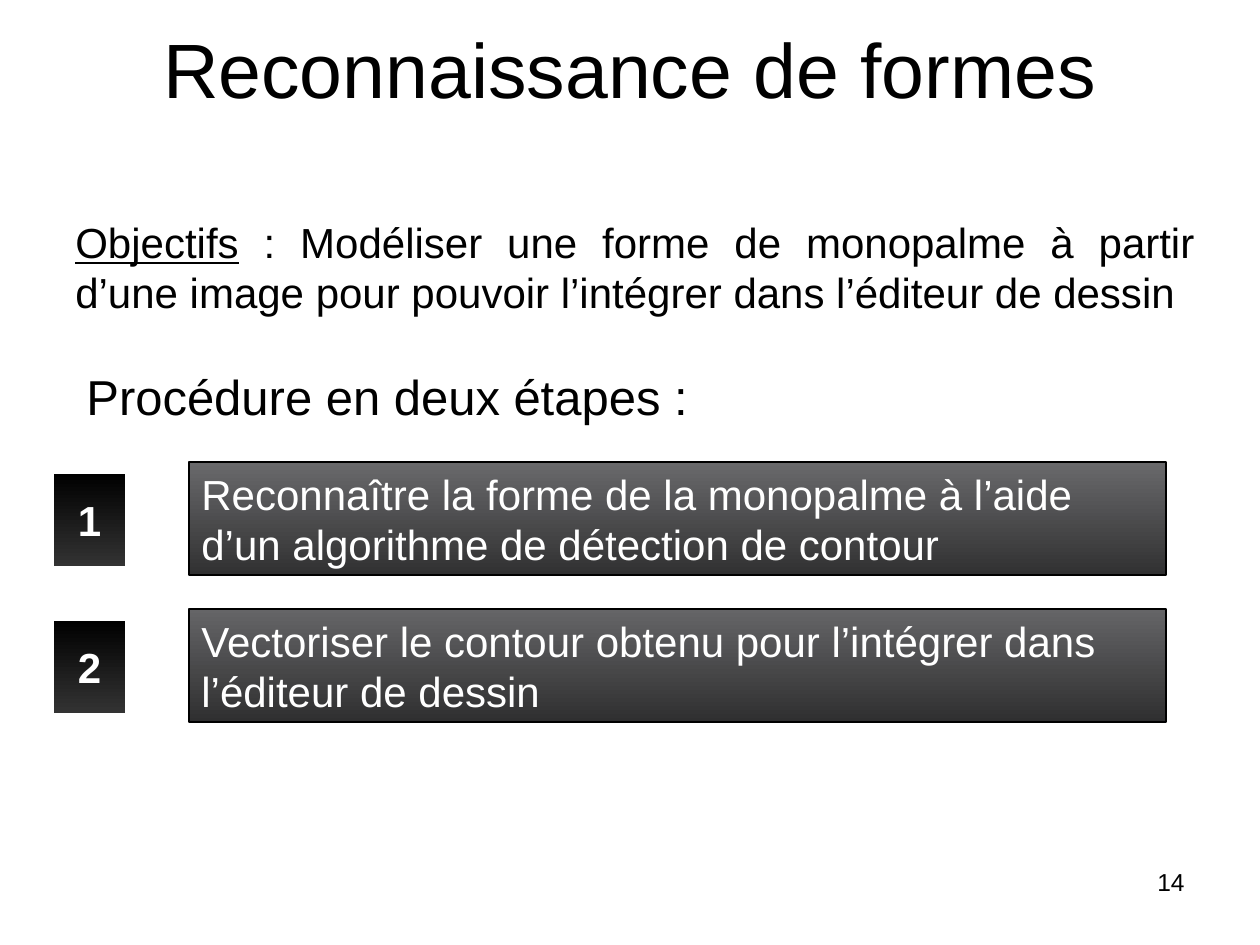
from dataclasses import dataclass

from pptx import Presentation
from pptx.dml.color import RGBColor
from pptx.enum.shapes import MSO_SHAPE
from pptx.enum.text import MSO_ANCHOR, PP_ALIGN
from pptx.util import Emu, Pt


@dataclass(frozen=True)
class Theme:
    font: str = "Arial"
    black: str = "000000"
    white: str = "FFFFFF"
    badge: tuple = ("000000", "333333")
    title: int = 44
    heading: int = 28
    body: int = 24
    number: int = 14


T = Theme()
PX = 914400 / 126


def box(pos, parts, size, color=T.black, align=PP_ALIGN.LEFT,
        anchor=MSO_ANCHOR.TOP, wrap=True, bold=False, grad=None, line=None):
    """Add a text box, or a gradient rectangle when grad is given."""
    x, y, w, h = (Emu(round(v * PX)) for v in pos)
    if grad:
        sp = s.shapes.add_shape(MSO_SHAPE.RECTANGLE, x, y, w, h)
        sp.shadow.inherit = False
        sp.fill.gradient()
        sp.fill.gradient_angle = 270  # top to bottom
        for stop, c in zip(sp.fill.gradient_stops, grad):
            stop.color.rgb = RGBColor.from_string(c)
        sp.line.color.rgb = RGBColor.from_string(line)
        sp.line.width = Pt(0.75)
    else:
        sp = s.shapes.add_textbox(x, y, w, h)
    tf = sp.text_frame
    tf.word_wrap = wrap
    tf.vertical_anchor = anchor
    p = tf.paragraphs[0]
    p.alignment = align
    p.font.name = T.font
    p.font.size = Pt(size)
    p.font.bold = bold
    p.font.color.rgb = RGBColor.from_string(color)
    for text in parts:
        p.add_run().text = text
    return p


prs = Presentation()
prs.slide_width = Emu(round(1260 * PX))
prs.slide_height = Emu(round(945 * PX))
s = prs.slides.add_slide(prs.slide_layouts[6])

# Title
box((63, 0, 1134, 136), ["Reconnaissance de formes"], T.title,
    align=PP_ALIGN.CENTER, anchor=MSO_ANCHOR.MIDDLE)

# Objective
p = box((63, 210, 1144, 113),
        ["Objectifs", " : Modéliser une forme de monopalme à partir d’une image "
         "pour pouvoir l’intégrer dans l’éditeur de dessin"],
        T.body, align=PP_ALIGN.JUSTIFY)
p.runs[0].font.underline = True

# Procedure heading
box((74, 360, 626, 72), ["Procédure en deux étapes :"], T.heading, wrap=False)

# Numbered steps
steps = [
    ("Reconnaître la forme de la monopalme à l’aide d’un algorithme "
     "de détection de contour", ("69696B", "313132")),
    ("Vectoriser le contour obtenu pour l’intégrer dans l’éditeur de dessin",
     ("656567", "2F2F30")),
]
for i, (text, grad) in enumerate(steps):
    y = 462 + i * 147
    box((189, y, 977, 113), [text], T.body, T.white, grad=grad, line=T.black)
    box((53, y + 11, 73, 94), [str(i + 1)], T.body, T.white, PP_ALIGN.CENTER,
        MSO_ANCHOR.MIDDLE, wrap=False, bold=True, grad=T.badge, line=T.white)

# Slide number
box((903, 861, 294, 66), ["14"], T.number, align=PP_ALIGN.RIGHT)

prs.save("out.pptx")
